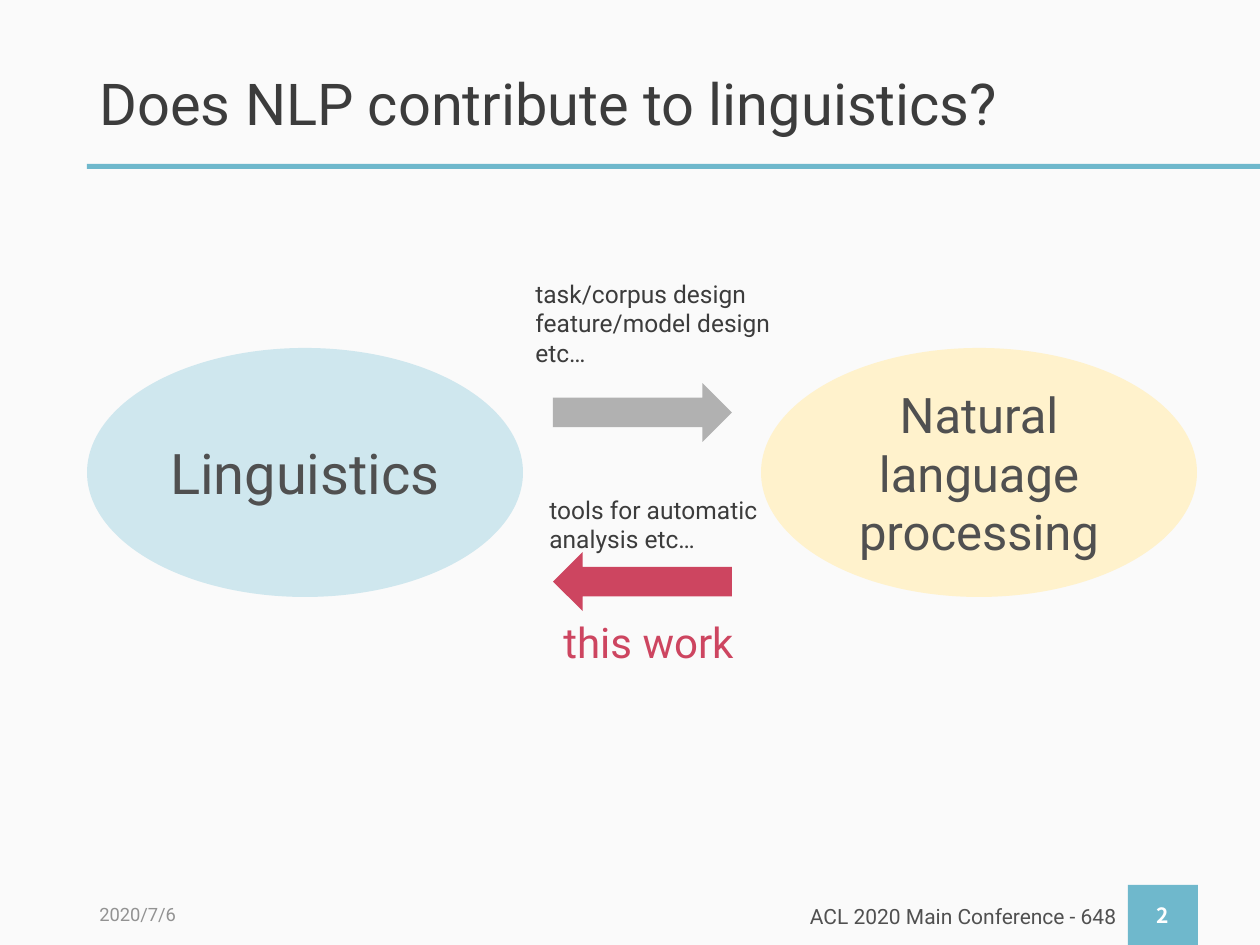
import pptx
import pptx.util
import pptx.dml.color
import pptx.enum.shapes
import pptx.enum.text

SHAPE = pptx.enum.shapes.MSO_SHAPE
ALIGN = pptx.enum.text.PP_ALIGN
FONT = "Roboto"
BLUE, RED, INK, GREY = "6FB8CC", "CD4560", "3C3C3C", "505050"

# Content: boxes are left, top, width, height in px
TITLE = ("Does NLP contribute to linguistics?", (87, 50, 1086, 113))
FIELDS = [
    ("Linguistics", 87, "CFE7EE", 32),
    ("Natural language processing", 761, "FFF2CC", 28),
]
ARROWS = [(383, "B1B1B1", 0), (552, RED, 180)]
NOTES = [
    (["task/corpus design", "feature/model design", "etc…"],
     (523, 272, 270, 102), 14, INK, 1),
    (["this work"], (551, 596, 198, 76), 24, RED, 1.3),
    (["tools for automatic ", "analysis etc…"],
     (537, 488, 243, 72), 14, INK, 1),
]
FOOT = [
    ("2020/7/6", (87, 895, 284, 38), 10.5, "929292", ALIGN.LEFT),
    ("ACL 2020 Main Conference - 648", (703, 897, 426, 38), 12, GREY, ALIGN.RIGHT),
]


def px(n):
    return round(n * 914400 / 126)


def paint(fill, color):
    fill.solid()
    fill.fore_color.rgb = pptx.dml.color.RGBColor.from_string(color)


def write(shape, lines, size, color, align=ALIGN.LEFT, font=FONT,
          bold=False, gap=1, wrap=True):
    frame = shape.text_frame
    frame.word_wrap = wrap
    frame.vertical_anchor = pptx.enum.text.MSO_ANCHOR.MIDDLE
    para = frame.paragraphs[0]
    para.alignment = align
    para.line_spacing = gap
    for i, line in enumerate(lines):
        if i:
            para.add_line_break()
        run = para.add_run()
        run.text = line
        run.font.name = font
        run.font.size = pptx.util.Pt(size)
        run.font.bold = bold
        paint(run.font.fill, color)


def draw(kind, box, color):
    shape = slide.shapes.add_shape(kind, *map(px, box))
    shape.shadow.inherit = False
    paint(shape.fill, color)
    shape.line.fill.background()
    return shape


def label(box):
    return slide.shapes.add_textbox(*map(px, box))


deck = pptx.Presentation()
deck.slide_width, deck.slide_height = px(1260), px(945)
slide = deck.slides.add_slide(deck.slide_layouts[5])
paint(slide.background.fill, "FAFAFA")

# Title and rule
draw(SHAPE.RECTANGLE, (87, 164, 1173, 5), BLUE)
text, box = TITLE
head = slide.shapes.title
head.left, head.top, head.width, head.height = map(px, box)
write(head, [text], 33, INK, gap=0.9)
head.text_frame.auto_size = pptx.enum.text.MSO_AUTO_SIZE.NONE

# Footer and page number
for text, box, size, color, align in FOOT:
    write(label(box), [text], size, color, align)
page = draw(SHAPE.RECTANGLE, (1128, 885, 70, 60), BLUE)
write(page, ["2"], 12, "FFFFFF", ALIGN.CENTER, "Noto Sans CJK JP", True)

# The two fields
for text, left, color, size in FIELDS:
    oval = draw(SHAPE.OVAL, (left, 348, 436, 249), color)
    write(oval, [text], size, GREY, ALIGN.CENTER)

# Arrows between them, with notes
for top, color, turn in ARROWS:
    draw(SHAPE.RIGHT_ARROW, (553, top, 179, 59), color).rotation = turn
for lines, box, size, color, gap in NOTES:
    note = label(box)
    write(note, lines, size, color, gap=gap, wrap=False)
    note.text_frame.auto_size = pptx.enum.text.MSO_AUTO_SIZE.SHAPE_TO_FIT_TEXT

deck.save("out.pptx")
